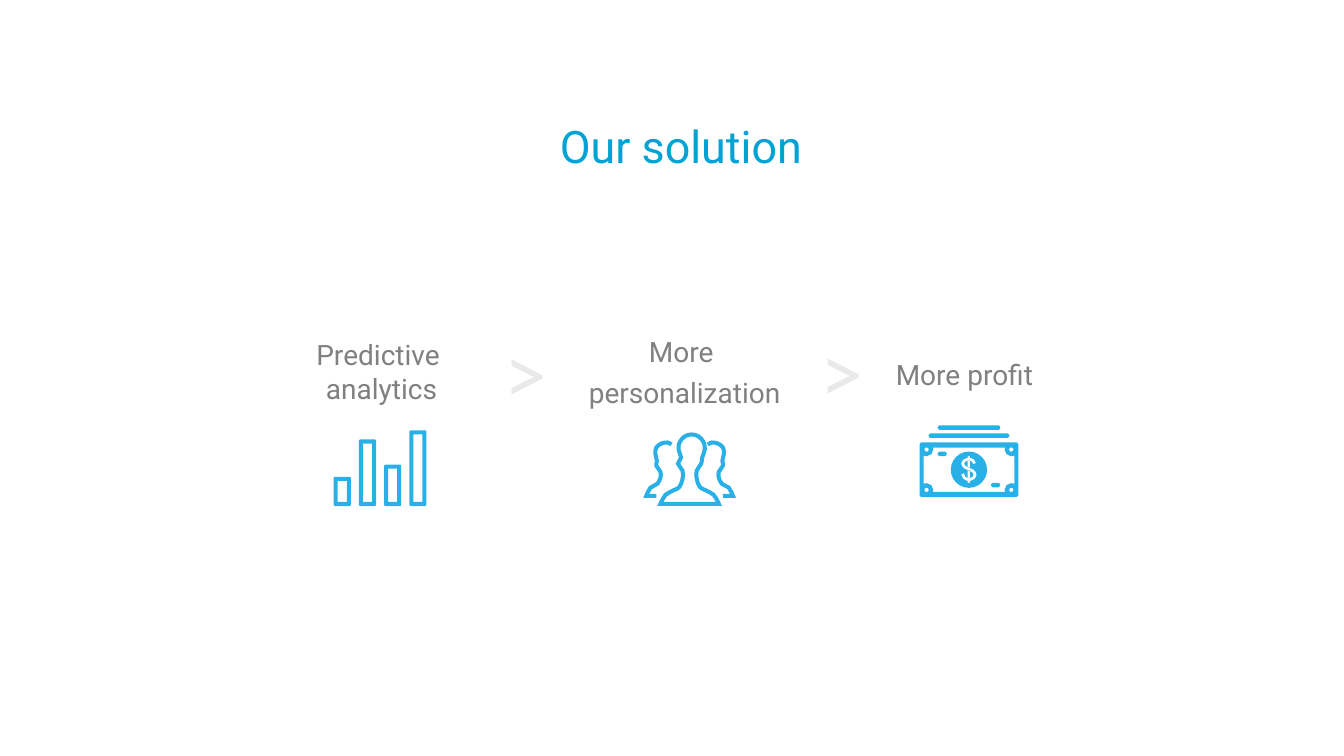
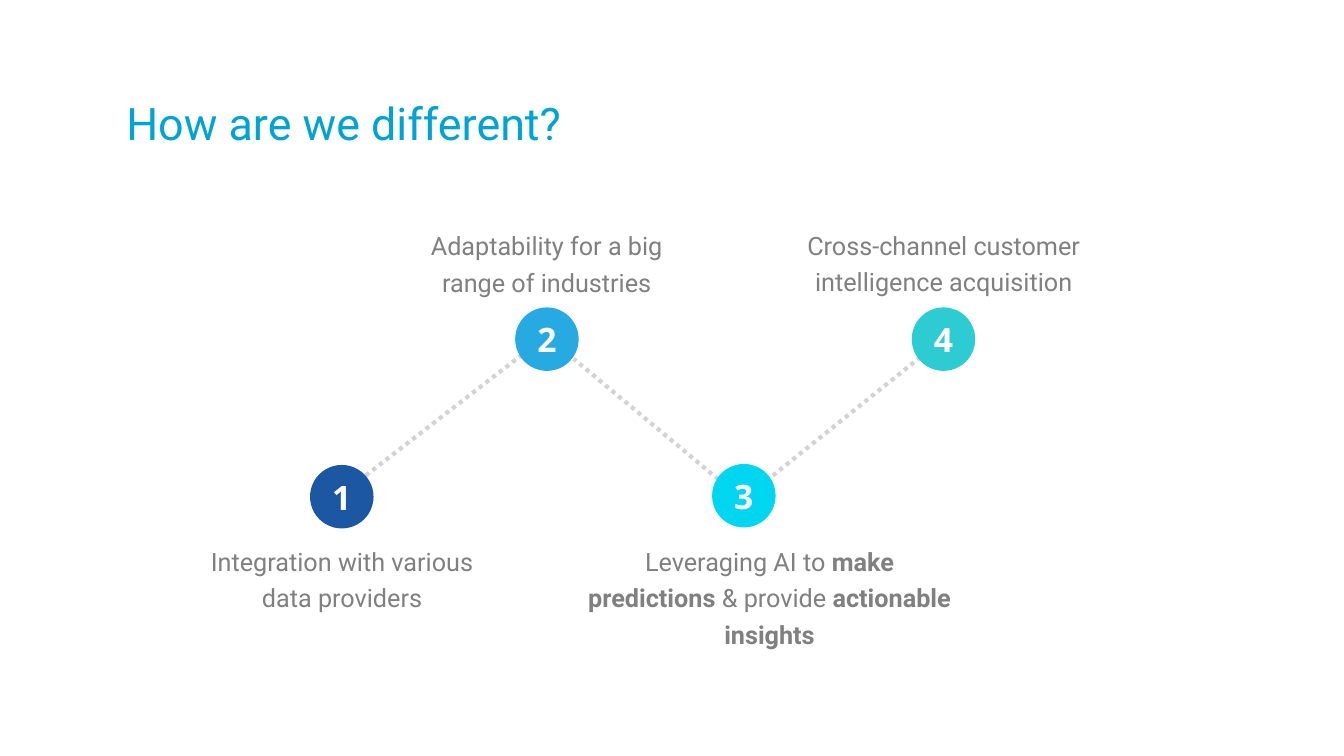
"""Build two pitch slides on a grid of tenth-inch cells."""
from math import cos, hypot, pi, sin
from lxml.etree import SubElement
from pptx import Presentation
from pptx.dml.color import RGBColor
from pptx.enum.dml import MSO_LINE
from pptx.enum.shapes import MSO_CONNECTOR, MSO_SHAPE
from pptx.enum.text import MSO_ANCHOR, MSO_AUTO_SIZE, PP_ALIGN
from pptx.oxml.ns import qn
from pptx.util import Inches, Pt

HUE = {
    "title": "01A3D5", "body": "808080", "arrow": "E8E9E9", "icon": "29B0E6",
    "dots": "D1D3D4", "white": "FFFFFF", "navy": "1C57A3", "blue": "27AAE2",
    "cyan": "00D6F0", "teal": "2DCCD3",
}
CELL = Inches(0.1)


def paint(shape, hue):
    """Give a shape a plain fill, with no line and no shadow."""
    shape.shadow.inherit = False
    shape.fill.solid()
    shape.fill.fore_color.rgb = RGBColor.from_string(HUE[hue])
    shape.line.fill.background()


def write(shape, lines, size, hue, font="Roboto", lead=None, gap=None, bold=False):
    """Write centred lines, each a list of runs; odd runs are bold."""
    frame = shape.text_frame
    for row, runs in enumerate(lines):
        para = frame.add_paragraph() if row else frame.paragraphs[0]
        para.alignment = PP_ALIGN.CENTER
        if lead:
            para.line_spacing = lead
        if gap:
            para.space_before = gap
        for turn, words in enumerate(runs):
            run = para.add_run()
            run.text = words
            run.font.name = font
            run.font.size = Pt(size)
            run.font.bold = bold or turn % 2 == 1
            run.font.color.rgb = RGBColor.from_string(HUE[hue])
    return frame


deck = Presentation()
deck.slide_width, deck.slide_height = Inches(13.33), Inches(7.5)
pages = []
for name, box in [
    ("Our solution", (47.6, 11.3, 39.9, 6.4)),
    ("How are we different?", (10.5, 9, 47.2, 6.4)),
]:
    page = deck.slides.add_slide(deck.slide_layouts[6])
    head = page.shapes.add_textbox(*[int(n * CELL) for n in box])
    write(head, [[name]], 32, "title").word_wrap = True
    pages.append(page.shapes)
flow, path = pages

for box, lines, lead, wrap in [
    ((24.5, 33, 26, 7.7), [["Predictive"], [" analytics"]], None, True),
    ((56.52, 32, 22.1, 9.1), [["More"], [" personalization"]], Pt(28.7), False),
    ((87.85, 34.3, 16.3, 5.1), [["More profit "]], Pt(28.7), False),
]:
    note = flow.add_textbox(*[int(n * CELL) for n in box])
    frame = write(note, lines, 20, "body", lead=lead)
    frame.word_wrap = wrap
    frame.vertical_anchor = MSO_ANCHOR.MIDDLE
    frame.auto_size = MSO_AUTO_SIZE.SHAPE_TO_FIT_TEXT

for left, top in [(49.5, 31.7), (80.8, 31.6)]:
    note = flow.add_textbox(*[int(n * CELL) for n in (left, top, 4.9, 10.3)])
    frame = write(note, [[">"]], 61, "arrow", "Calibri")
    frame.word_wrap = False
    frame.margin_left = Inches(0.04)
    frame.margin_top = frame.margin_right = frame.margin_bottom = 0

bars, cash, crowd = [], [], []

rects = [
    (cash, 91.2, 43.9, 9.8, 5.4, 0.15),
    (cash, 93, 42.2, 6.2, 0.45, 0.15), (cash, 92.1, 43, 8, 0.45, 0.15),
    (cash, 93, 44.8, 0.9, 0.45, 0.15), (cash, 98.3, 47.9, 0.9, 0.45, 0.15),
    (cash, 95.97, 45.25, 0.26, 0.15, 0), (cash, 95.97, 45.7, 0.26, 0.67, 0),
    (cash, 95.97, 46.67, 0.26, 0.76, 0), (cash, 95.97, 47.73, 0.26, 0.17, 0),
]
for step, top in enumerate([47.3, 43.6, 46.1, 42.7]):
    left = 33.1 + 2.5 * step
    rects += [
        (bars, left, top, 1.7, 50.2 - top, 0.1),
        (bars, left + 0.4, top + 0.4, 0.9, 49.4 - top, 0),
    ]
for icon, x, y, w, h, cut in rects:
    icon.append([
        (x + cut, y), (x + w - cut, y), (x + w, y + cut), (x + w, y + h - cut),
        (x + w - cut, y + h), (x + cut, y + h), (x, y + h - cut), (x, y + cut),
    ] if cut else [(x, y), (x + w, y), (x + w, y + h), (x, y + h)])

bite = [(-0.3, 0.6), (0, 0.67), (0.47, 0.47), (0.67, 0), (0.6, -0.2)]
field = []
for x, y, turn in [(-1, -1, 1), (1, -1, -1), (1, 1, 1), (-1, 1, -1)]:
    mid = (96.1 + 4.2 * x, 46.6 + 2 * y)
    field += [(mid[0] - x * a, mid[1] - y * b) for a, b in bite[::turn]]
    cash.append([
        (mid[0] + 0.22 * cos(n * pi / 4), mid[1] + 0.22 * sin(n * pi / 4))
        for n in range(8)
    ])
cash.append(field)
cash.append([
    (96.1 + 1.8 * cos(n * pi / 12), 46.6 + 1.8 * sin(n * pi / 12))
    for n in range(24)
])

half = [
    (0, 43.1), (0.7, 43.3), (1.2, 43.9), (1.3, 44.6), (1.05, 45.4), (1.15, 46),
    (0.7, 46.7), (0.7, 47.5), (1, 48.3), (1.5, 48.6), (2.4, 49.1), (2.9, 50),
]
side = [
    (1.8, 44.1), (2.2, 43.9), (2.8, 44), (3.3, 44.4), (3.4, 45), (3.25, 45.7),
    (3.3, 46.2), (2.9, 46.8), (2.9, 47.4), (3.2, 48), (3.9, 48.4), (4.3, 49.2),
]
curl = [
    (0.55, -0.6), (0.4, -0.9), (0, -1.05), (-0.45, -0.9), (-0.6, -0.6),
    (-0.4, -0.25), (0.35, 0.1), (0.6, 0.45), (0.45, 0.8), (0, 0.98),
    (-0.45, 0.8), (-0.62, 0.4),
]
front = [
    (x + 0.2 if y < 45.5 else x, y)
    for x, y in [(-x, y) for x, y in half[:0:-1]] + half
]
for icon, mid, base, knots, tail, shut, wide in [
    (crowd, 68.4, 0, front, [], True, 0.2),
    (crowd, 68.4, 0, side, [(3.3, 49.2)], False, 0.2),
    (crowd, 68.4, 0, [(-x, y) for x, y in side], [(-3.3, 49.2)], False, 0.2),
    (cash, 96.1, 46.6, curl, [], False, 0.15),
]:
    ends = [knots[0]] + knots + [knots[-1]]
    dots = []
    for a, b, c, d in zip(ends, ends[1:], ends[2:], ends[3:]):
        dots += [b, [
            (9 * (q + r) - p - s) / 16 for p, q, r, s in zip(a, b, c, d)
        ]]
    dots += [knots[-1]] + tail
    last = len(dots) - 1
    outer, inner = [], []
    for n, (x, y) in enumerate(dots):
        ways = []
        for a, b in [(n - 1, n), (n, n + 1)]:
            if shut or 0 <= a < b <= last:
                p, q = dots[a], dots[b % len(dots)]
                size = hypot(q[0] - p[0], q[1] - p[1])
                ways.append(((q[0] - p[0]) / size, (q[1] - p[1]) / size))
        u, v = ways[0], ways[-1]
        lean = wide / max(0.4, 1 + u[0] * v[0] + u[1] * v[1])
        dx, dy = lean * (u[1] + v[1]), -lean * (u[0] + v[0])
        outer.append((mid + x + dx, base + y + dy))
        inner.append((mid + x - dx, base + y - dy))
    icon += [outer, inner] if shut else [outer + inner[::-1]]

for icon in (cash, bars, crowd):
    pen = None
    for ring in icon:
        spots = [(int(x * CELL), int(y * CELL)) for x, y in ring]
        if pen:
            pen.move_to(*spots[0])
        else:
            pen = flow.build_freeform(*spots[0])
        pen.add_line_segments(spots[1:], close=True)
    paint(pen.convert_to_shape(), "icon")

for ends in [
    (34.3, 48.7, 51.9, 35.1), (71.9, 48.1, 56.9, 35.6), (76, 47.7, 91.2, 35.5),
]:
    link = path.add_connector(MSO_CONNECTOR.STRAIGHT, *[int(n * CELL) for n in ends])
    link.line.color.rgb = RGBColor.from_string(HUE["dots"])
    link.line.width = Pt(3)
    link.line.dash_style = MSO_LINE.ROUND_DOT
    SubElement(link._element.spPr, qn("a:effectLst"))

for step, (hue, left, top, box, runs) in enumerate([
    ("navy", 30.75, 46.13, (19.63, 53.1, 28.6, 8.2),
     ["Integration with various data providers"]),
    ("blue", 51.1, 30.5, (40.73, 21.78, 27, 8.2),
     ["Adaptability for a big range of industries"]),
    ("cyan", 70.63, 46.03, (56.87, 53.12, 38.9, 8.2),
     ["Leveraging AI to ", "make predictions ", "& provide ", "actionable insights"]),
    ("teal", 90.43, 30.5, (78.85, 21.78, 29.5, 8),
     ["Cross-channel customer intelligence acquisition"]),
], 1):
    disc = path.add_shape(
        MSO_SHAPE.OVAL, *[int(n * CELL) for n in (left, top, 6.3, 6.3)])
    paint(disc, hue)
    frame = write(disc, [[str(step)]], 24, "white", "Open Sans", bold=True)
    frame.vertical_anchor = MSO_ANCHOR.MIDDLE
    note = path.add_textbox(*[int(n * CELL) for n in box])
    frame = write(note, [runs], 18, "body", lead=1.2, gap=Pt(3.6))
    frame.word_wrap = True
    frame.auto_size = MSO_AUTO_SIZE.SHAPE_TO_FIT_TEXT

deck.save("out.pptx")
